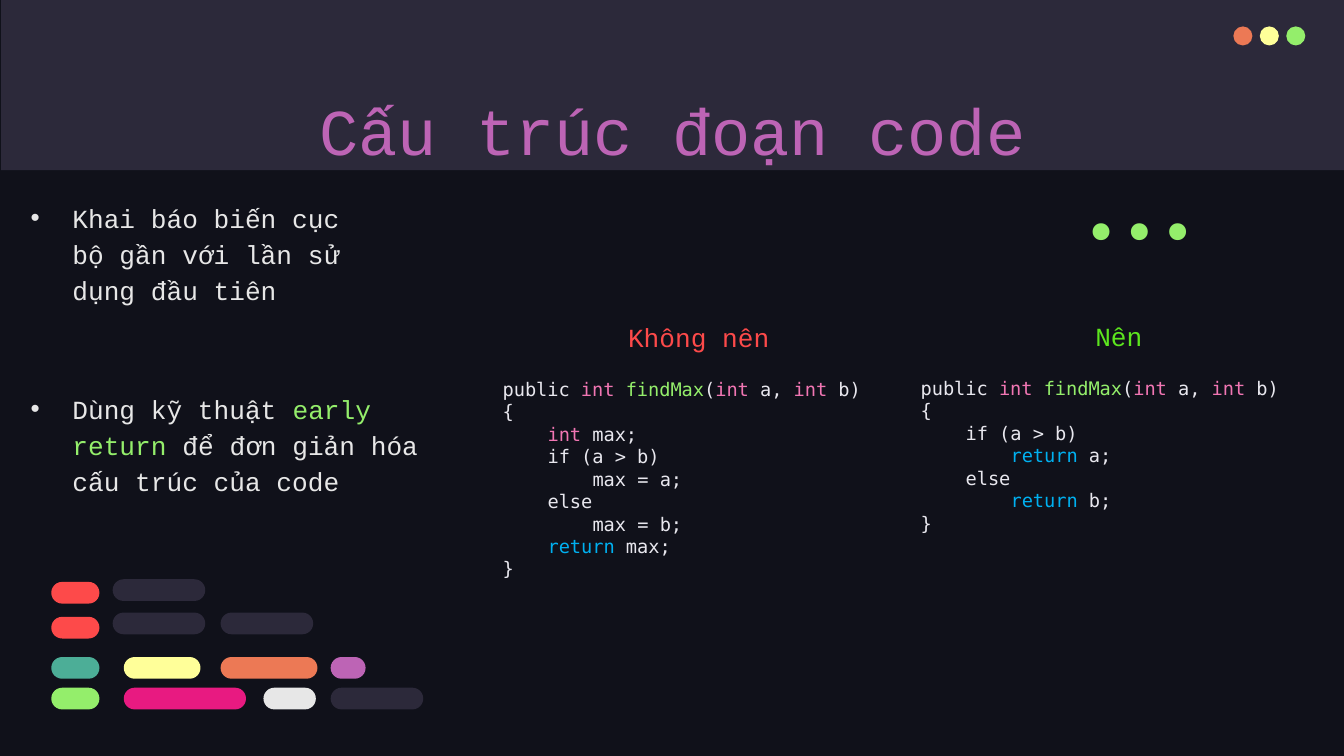
import lxml.etree
import pptx
import pptx.dml.color
import pptx.enum.shapes
import pptx.enum.text
import pptx.oxml.ns
import pptx.util

Cm = pptx.util.Cm
Pt = pptx.util.Pt
Shape = pptx.enum.shapes.MSO_SHAPE
Align = pptx.enum.text.PP_ALIGN
Anchor = pptx.enum.text.MSO_ANCHOR
AutoSize = pptx.enum.text.MSO_AUTO_SIZE

THEME = {
    "background": "10111A", "panel": "2C293A", "light": "E7E7E7", "code": "E8E7EE",
    "orange": "EC7955", "yellow": "FFFF99", "green": "94EE6B", "purple": "BD64B5",
    "red": "FD4A4A", "teal": "4CAE97", "magenta": "E81A81", "pink": "F176B3",
    "blue": "00B0F0", "lime": "5CE51E",
    "text font": "Courier New", "code font": "DejaVu Sans Mono", "dots font": "Fira Code",
    "title size": 35, "body size": 14, "code size": 10, "dots size": 50,
}

TITLE = "Cấu trúc đoạn code"
WINDOW_DOTS = ["orange", "yellow", "green"]

# Box (left, top, width, height) in cm, then runs of (text, colour)
BULLETS = [
    ((0.33, 3.48, 6.6, 2.44),
     [("Khai báo biến cục bộ gần với lần sử dụng đầu tiên", "light")]),
    ((0.33, 7.09, 8.89, 2.44),
     [("Dùng kỹ thuật ", "light"), ("early return", "green"),
      (" để đơn giản hóa cấu trúc của code", "light")]),
]

# Row top in cm, then pills of (left, width, colour)
PILL_HEIGHT = 0.41
PILL_ROWS = [
    (10.95, [(2.13, 1.75, "panel")]),
    (11.0, [(0.97, 0.91, "red")]),
    (11.58, [(2.13, 1.75, "panel"), (4.17, 1.75, "panel")]),
    (11.66, [(0.97, 0.91, "red")]),
    (12.42, [(0.97, 0.91, "teal"), (2.34, 1.45, "yellow"),
             (4.17, 1.83, "orange"), (6.25, 0.66, "purple")]),
    (13.0, [(0.97, 0.91, "green"), (2.34, 2.31, "magenta"),
            (4.98, 0.99, "light"), (6.25, 1.75, "panel")]),
]

# Code lines are (indent level, runs)
SIGNATURE = (0, [("public ", "code"), ("int ", "pink"), ("findMax", "green"),
                 ("(", "code"), ("int", "pink"), (" a, ", "code"),
                 ("int", "pink"), (" b)", "code")])


def plain(level, text):
    return level, [(text, "code")]


def keyword(level, word, rest, color):
    return level, [(word, color), (rest, "code")]


EXAMPLES = [
    {"box": (9.25, 5.94, 7.9, 5.82), "heading": ("Không nên", "red"), "heading indent": 2.37,
     "lines": [SIGNATURE, plain(0, "{"), keyword(1, "int", " max;", "pink"),
               plain(1, "if (a > b)"), plain(2, "max = a;"),
               plain(1, "else"), plain(2, "max = b;"),
               keyword(1, "return", " max;", "blue"), plain(0, "}")]},
    {"box": (17.15, 5.92, 7.9, 4.95), "heading": ("Nên", "lime"), "heading indent": 3.3,
     "lines": [SIGNATURE, plain(0, "{"),
               plain(1, "if (a > b)"), keyword(2, "return", " a;", "blue"),
               plain(1, "else"), keyword(2, "return", " b;", "blue"), plain(0, "}")]},
]
CODE_INDENT = 0.85
HEADING_GAP = 13.6


def rgb(name):
    return pptx.dml.color.RGBColor.from_string(THEME[name])


def add_filled(slide, kind, box, color):
    shape = slide.shapes.add_shape(kind, *map(Cm, box))
    shape.shadow.inherit = False
    shape.fill.solid()
    shape.fill.fore_color.rgb = rgb(color)
    shape.line.fill.background()
    return shape


def add_frame(slide, box, inset=0.25, anchor=Anchor.TOP, auto_size=AutoSize.NONE):
    """Add an empty text box; inset is its top and bottom margin in cm."""
    frame = slide.shapes.add_textbox(*map(Cm, box)).text_frame
    frame.word_wrap = True
    frame.auto_size = auto_size
    frame.vertical_anchor = anchor
    frame.margin_left = frame.margin_right = Cm(0.25)
    frame.margin_top = frame.margin_bottom = Cm(inset)
    return frame


def write(paragraph, runs, font="text font", size="body size", align=Align.LEFT,
          indent=0, hanging=0, spacing=None, after=None):
    """Fill a paragraph with (text, colour) runs; indents are in cm, after in points."""
    paragraph.alignment = align
    if spacing:
        paragraph.line_spacing = spacing
    if after:
        paragraph.space_after = Pt(after)
    properties = paragraph._p.get_or_add_pPr()
    properties.set("marL", str(Cm(indent)))
    properties.set("indent", str(-Cm(hanging)))
    for text, color in runs:
        run = paragraph.add_run()
        run.text = text
        run.font.name = THEME[font]
        run.font.size = Pt(THEME[size])
        run.font.color.rgb = rgb(color)


def add_bullet(paragraph, color):
    qn = pptx.oxml.ns.qn
    properties = paragraph._p.get_or_add_pPr()
    bullet_color = lxml.etree.SubElement(properties, qn("a:buClr"))
    lxml.etree.SubElement(bullet_color, qn("a:srgbClr"), val=THEME[color])
    lxml.etree.SubElement(properties, qn("a:buFont"), typeface="Arial")
    lxml.etree.SubElement(properties, qn("a:buChar"), char="•")


def add_header(slide):
    add_filled(slide, Shape.RECTANGLE, (0.02, 0, 25.4, 3.22), "panel")
    for index, color in enumerate(WINDOW_DOTS):
        add_filled(slide, Shape.OVAL, (23.31 + 0.5 * index, 0.5, 0.36, 0.36), color)
    frame = add_frame(slide, (2.01, 1.24, 21.41, 1.6))
    write(frame.paragraphs[0], [(TITLE, "purple")], size="title size",
          align=Align.CENTER, spacing=1.15)


def add_bullets(slide):
    for box, runs in BULLETS:
        paragraph = add_frame(slide, box).paragraphs[0]
        write(paragraph, runs, indent=0.79, hanging=0.79, spacing=1.15)
        add_bullet(paragraph, "light")


def add_pills(slide):
    for top, pills in PILL_ROWS:
        for left, width, color in pills:
            pill = add_filled(slide, Shape.ROUNDED_RECTANGLE,
                              (left, top, width, PILL_HEIGHT), color)
            pill.adjustments[0] = 0.5


def add_example(slide, example):
    frame = add_frame(slide, example["box"], inset=0.13,
                      auto_size=AutoSize.SHAPE_TO_FIT_TEXT)
    write(frame.paragraphs[0], [example["heading"]],
          indent=example["heading indent"], after=HEADING_GAP)
    for level, runs in example["lines"]:
        write(frame.add_paragraph(), runs, font="code font", size="code size",
              indent=level * CODE_INDENT)


def main():
    presentation = pptx.Presentation()
    presentation.slide_width, presentation.slide_height = Cm(25.4), Cm(14.29)
    slide = presentation.slides.add_slide(presentation.slide_layouts[6])
    slide.background.fill.solid()
    slide.background.fill.fore_color.rgb = rgb("background")
    add_header(slide)
    add_bullets(slide)
    add_pills(slide)
    dots = add_frame(slide, (19.41, 3.61, 4.01, 1.52), anchor=Anchor.BOTTOM)
    write(dots.paragraphs[0], [("...", "green")], font="dots font", size="dots size",
          align=Align.RIGHT)
    for example in EXAMPLES:
        add_example(slide, example)
    presentation.save("out.pptx")


if __name__ == "__main__":
    main()
